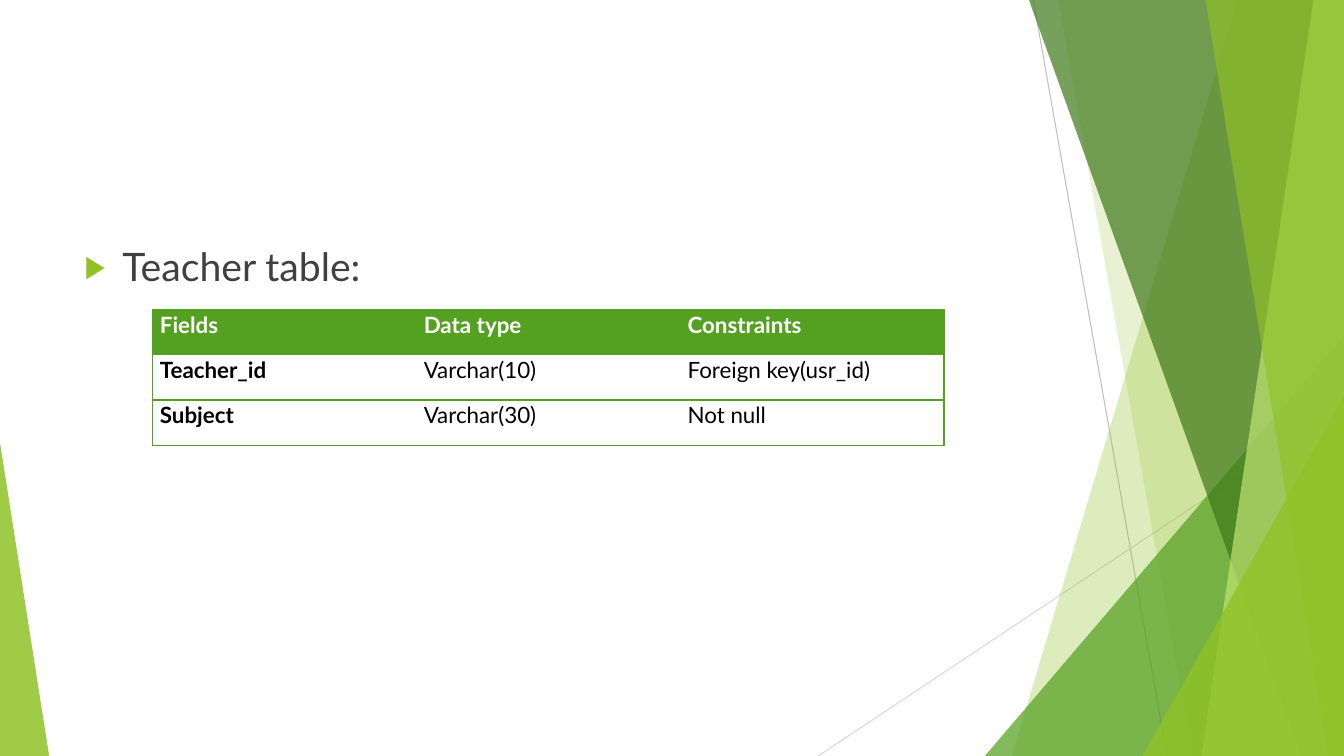
from dataclasses import dataclass

from lxml.etree import SubElement
from pptx import Presentation
from pptx.dml.color import RGBColor
from pptx.enum.shapes import MSO_CONNECTOR, MSO_SHAPE
from pptx.enum.text import MSO_ANCHOR, MSO_AUTO_SIZE
from pptx.oxml.ns import qn
from pptx.util import Cm, Pt


@dataclass(frozen=True)
class Theme:
    font: str = "Lato"
    lime: str = "90C226"
    pale_lime: str = "C0E474"
    green: str = "54A021"
    dark_green: str = "3F7819"
    grey: str = "BFBFBF"
    light_grey: str = "D9D9D9"
    text: str = "404040"
    black: str = "000000"
    white: str = "FFFFFF"
    heading_size: int = 28
    table_size: int = 16


THEME = Theme()
WIDTH, HEIGHT = 33.87, 19.05
NO_TABLE_STYLE = "{2D5ABB26-0587-4C30-8999-92F81FD0307C}"
TEACHER_FIELDS = [
    ("Fields", "Data type", "Constraints"),
    ("Teacher_id", "Varchar(10)", "Foreign key(usr_id)"),
    ("Subject", "Varchar(30)", "Not null"),
]


def format_runs(para, size, colour, bold=False):
    for run in para.runs:
        run.font.name = THEME.font
        run.font.size = Pt(size)
        run.font.bold = bold
        run.font.color.rgb = RGBColor.from_string(colour)


def paint(shape, colour, opacity):
    """Give the shape a translucent fill with no outline; opacity is a percentage."""
    shape.shadow.inherit = False
    shape.line.fill.background()
    shape.fill.solid()
    shape.fill.fore_color.rgb = RGBColor.from_string(colour)
    colour_node = shape._element.spPr.find(qn("a:solidFill"))[0]
    SubElement(colour_node, qn("a:alpha"), val=str(opacity * 1000))


def add_line(page, start, end, colour):
    line = page.shapes.add_connector(
        MSO_CONNECTOR.STRAIGHT, *(Cm(value) for value in start + end))
    line.line.color.rgb = RGBColor.from_string(colour)
    line.line.width = Pt(0.75)
    SubElement(line._element.spPr, qn("a:effectLst"))


def add_band(page, top_x, bottom_x, colour, opacity):
    """Fill from a slanted edge to the right side of the page."""
    builder = page.shapes.build_freeform(Cm(top_x), 0)
    corners = [(WIDTH, 0), (WIDTH, HEIGHT), (bottom_x, HEIGHT)]
    builder.add_line_segments([(Cm(x), Cm(y)) for x, y in corners])
    paint(builder.convert_to_shape(), colour, opacity)


def add_corner(page, left, top, width, apex, colour, opacity):
    """Add a triangle that stands on the bottom edge of the page."""
    corner = page.shapes.add_shape(
        MSO_SHAPE.ISOSCELES_TRIANGLE, Cm(left), Cm(top), Cm(width), Cm(HEIGHT - top))
    corner.adjustments[0] = apex
    paint(corner, colour, opacity)


def add_decoration(page):
    add_line(page, (26.04, 0), (29.41, HEIGHT), THEME.grey)
    add_line(page, (WIDTH, 10.24), (20.62, HEIGHT), THEME.light_grey)
    add_band(page, 31.19, 25.5, THEME.lime, 30)
    add_band(page, 26.67, 30.05, THEME.lime, 20)
    add_corner(page, 24.82, 8.46, WIDTH - 24.82, 1, THEME.green, 72)
    add_band(page, 25.93, 32.79, THEME.dark_green, 70)
    add_band(page, 33.1, 30.28, THEME.pale_lime, 70)
    add_band(page, 30.38, 33.48, THEME.lime, 65)
    add_corner(page, 28.8, 9.98, WIDTH - 28.8, 1, THEME.lime, 80)
    add_corner(page, 0, 11.15, 1.24, 0, THEME.lime, 85)


def set_bullet(para, char, colour, percent):
    props = para._p.get_or_add_pPr()
    props.set("marL", str(Cm(0.95)))
    props.set("indent", str(-Cm(0.95)))
    SubElement(SubElement(props, qn("a:buClr")), qn("a:srgbClr"), val=colour)
    SubElement(props, qn("a:buSzPct"), val=str(percent * 1000))
    SubElement(props, qn("a:buChar"), char=char)


def fill_body(box, text):
    box.left, box.top, box.width, box.height = Cm(1.88), Cm(5.99), Cm(23.88), Cm(10.77)
    frame = box.text_frame
    frame.text = text
    frame.auto_size = MSO_AUTO_SIZE.NONE
    frame.vertical_anchor = MSO_ANCHOR.TOP
    para = frame.paragraphs[0]
    para.space_before = Pt(10)
    set_bullet(para, "▶", THEME.lime, 80)
    format_runs(para, THEME.heading_size, THEME.text)


def set_borders(cell, sides):
    props = cell._tc.get_or_add_tcPr()
    for side in sides:
        border = SubElement(props, qn(f"a:ln{side}"), w=str(Pt(1)))
        SubElement(SubElement(border, qn("a:solidFill")), qn("a:srgbClr"), val=THEME.green)


def format_cell(cell, is_header, is_label):
    cell.margin_left = cell.margin_right = Cm(0.19)
    cell.margin_top = cell.margin_bottom = 0
    para = cell.text_frame.paragraphs[0]
    para.line_spacing = 1.07
    colour = THEME.white if is_header else THEME.black
    format_runs(para, THEME.table_size, colour, is_header or is_label)
    if is_header:
        cell.fill.solid()
        cell.fill.fore_color.rgb = RGBColor.from_string(THEME.green)
    else:
        cell.fill.background()


def add_field_table(page, rows):
    column_count = len(rows[0])
    table = page.shapes.add_table(
        len(rows), column_count, Cm(3.84), Cm(7.8),
        Cm(6.65 * column_count), Cm(1.14 * len(rows))).table
    table.horz_banding = False
    table._tbl.tblPr.find(qn("a:tableStyleId")).text = NO_TABLE_STYLE
    for row_index, row in enumerate(rows):
        for column_index, text in enumerate(row):
            cell = table.cell(row_index, column_index)
            cell.text = text
            left = "L" if column_index == 0 else ""
            right = "R" if column_index == column_count - 1 else ""
            set_borders(cell, left + right + "TB")
            format_cell(cell, row_index == 0, column_index == 0)


def main():
    deck = Presentation()
    deck.slide_width, deck.slide_height = Cm(WIDTH), Cm(HEIGHT)
    page = deck.slides.add_slide(deck.slide_layouts.get_by_name("Title and Content"))
    title = page.shapes.title._element
    title.getparent().remove(title)
    add_decoration(page)
    fill_body(page.placeholders[1], "Teacher table:")
    add_field_table(page, TEACHER_FIELDS)
    deck.save("out.pptx")


if __name__ == "__main__":
    main()
